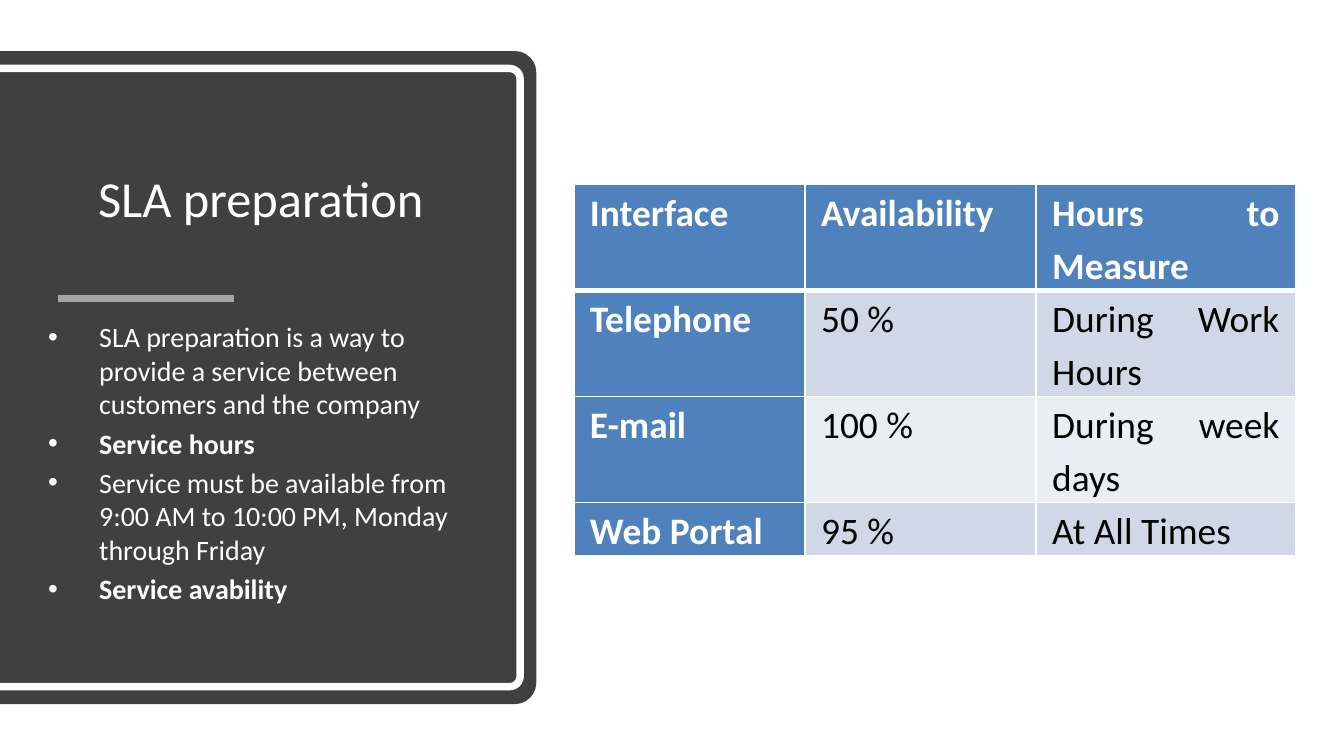
from dataclasses import dataclass

from lxml import etree
from pptx import Presentation
from pptx import util as u
from pptx.dml.color import RGBColor
from pptx.enum import shapes, text
from pptx.oxml.ns import qn


@dataclass(frozen=True)
class Theme:
    font: str = "Calibri"
    dark: str = "404040"
    white: str = "FFFFFF"
    black: str = "000000"
    rule: str = "A6A6A6"
    head: str = "4F81BD"
    bands: tuple = ("D0D8E8", "E9EDF4")
    title: int = 27
    body: int = 15
    cell: int = 20


THEME = Theme()

POINTS = [
    ("SLA preparation is a way to provide a service between "
     "customers and the company", False),
    ("Service hours", True),
    ("Service must be available from 9:00 AM to 10:00 PM, "
     "Monday through Friday", False),
    ("Service avability", True),
]
LEVELS = [
    ("Interface", "Availability", "Hours to Measure"),
    ("Telephone", "50 %", "During Work Hours"),
    ("E-mail", "100 %", "During week days"),
    ("Web Portal", "95 %", "At All Times"),
]


def color(code):
    return RGBColor.from_string(code)


def style(para, size, code, bold=False):
    for run in para.runs:
        run.font.name = THEME.font
        run.font.size = u.Pt(size)
        run.font.bold = bold
        run.font.color.rgb = color(code)


def place(shape, left, top, width, height):
    shape.left, shape.top = u.Inches(left), u.Inches(top)
    shape.width, shape.height = u.Inches(width), u.Inches(height)


def add_frame(slide, left, top, width, height, curve):
    """Add a panel whose right corners are round; the box is as seen."""
    # The preset rounds its top corners, so it is turned a quarter
    shape = slide.shapes.add_shape(
        shapes.MSO_SHAPE.ROUND_2_SAME_RECTANGLE,
        u.Inches(left + (width - height) / 2),
        u.Inches(top + (height - width) / 2),
        u.Inches(height), u.Inches(width))
    shape.rotation = 90
    shape.adjustments[0] = curve
    shape.adjustments[1] = 0
    shape.shadow.inherit = False
    return shape


def add_bullet(para):
    props = para._p.get_or_add_pPr()
    props.set("marL", str(u.Inches(0.38)))
    props.set("indent", str(-u.Inches(0.38)))
    font = etree.SubElement(props, qn("a:buFont"))
    font.set("typeface", "Arial")
    mark = etree.SubElement(props, qn("a:buChar"))
    mark.set("char", "•")


def add_panel(slide, left, top, width, height):
    # Dark panel and its white inner outline
    back = add_frame(slide, left, top, width, height, 0.04)
    back.fill.solid()
    back.fill.fore_color.rgb = color(THEME.dark)
    back.line.fill.background()
    inner = add_frame(slide, left - 0.03, top + 0.13,
                      width - 0.09, height - 0.26, 0.02)
    inner.fill.background()
    inner.line.color.rgb = color(THEME.white)
    inner.line.width = u.Pt(4)

    # Title, raised above the panel
    title = slide.shapes.title
    slide.shapes._spTree.append(title._element)
    place(title, left + 0.26, top + 0.42, 3.36, 1.33)
    frame = title.text_frame
    frame.text = "SLA preparation"
    frame.vertical_anchor = text.MSO_ANCHOR.MIDDLE
    frame.paragraphs[0].alignment = text.PP_ALIGN.CENTER
    style(frame.paragraphs[0], THEME.title, THEME.white)

    # Short rule under the title
    level = u.Inches(top + 1.84)
    rule = slide.shapes.add_connector(
        shapes.MSO_CONNECTOR.STRAIGHT, u.Inches(left + 0.43), level,
        u.Inches(left + 1.74), level)
    rule.line.color.rgb = color(THEME.rule)
    rule.line.width = u.Pt(4)
    etree.SubElement(rule._element.spPr, qn("a:effectLst"))

    # Bullet points
    box = slide.shapes.add_textbox(0, 0, 0, 0)
    place(box, left + 0.26, top + 1.95, 3.36, 2.5)
    frame = box.text_frame
    frame.word_wrap = True
    for i, (words, bold) in enumerate(POINTS):
        para = frame.add_paragraph() if i else frame.paragraphs[0]
        para.text = words
        para.space_before = u.Pt(THEME.body * 0.2)
        add_bullet(para)
        style(para, THEME.body, THEME.white, bold)


def add_edges(cell, base):
    props = cell._tc.get_or_add_tcPr()
    for side, width in (("L", 1), ("R", 1), ("T", 1), ("B", base)):
        edge = etree.SubElement(props, qn("a:ln" + side))
        edge.set("w", str(u.Pt(width)))
        fill = etree.SubElement(edge, qn("a:solidFill"))
        etree.SubElement(fill, qn("a:srgbClr")).set("val", THEME.white)


def fill_cell(cell, words, row, col):
    lead = row == 0 or col == 0
    add_edges(cell, 1 if row else 3)
    cell.fill.solid()
    cell.fill.fore_color.rgb = color(
        THEME.head if lead else THEME.bands[(row - 1) % 2])
    cell.margin_left = cell.margin_right = u.Inches(0.12)
    cell.margin_top = cell.margin_bottom = 0
    para = cell.text_frame.paragraphs[0]
    para.text = words
    para.alignment = text.PP_ALIGN.JUSTIFY
    para.line_spacing = 1.15
    para.space_after = u.Pt(10)
    style(para, THEME.cell, THEME.white if lead else THEME.black, lead)


def add_levels(slide, left, top, width, height):
    # Last column and last row take what the equal ones leave
    wide, tall = 1.72, 0.79
    table = slide.shapes.add_table(
        len(LEVELS), len(LEVELS[0]), u.Inches(left), u.Inches(top),
        u.Inches(width), u.Inches(height)).table
    for col, size in zip(table.columns, (wide, wide, width - 2 * wide)):
        col.width = u.Inches(size)
    for row, size in zip(table.rows, (tall, tall, tall, height - 3 * tall)):
        row.height = u.Inches(size)
    for r, line in enumerate(LEVELS):
        for c, words in enumerate(line):
            fill_cell(table.cell(r, c), words, r, c)


def main():
    deck = Presentation()
    # Widescreen, 16 to 9
    deck.slide_width = u.Inches(10)
    deck.slide_height = u.Inches(10 * 9 / 16)
    slide = deck.slides.add_slide(deck.slide_layouts[5])
    add_panel(slide, 0, 0.38, 3.99, 4.86)
    add_levels(slide, 4.27, 1.37, 5.37, 2.77)
    deck.save("out.pptx")


if __name__ == "__main__":
    main()
